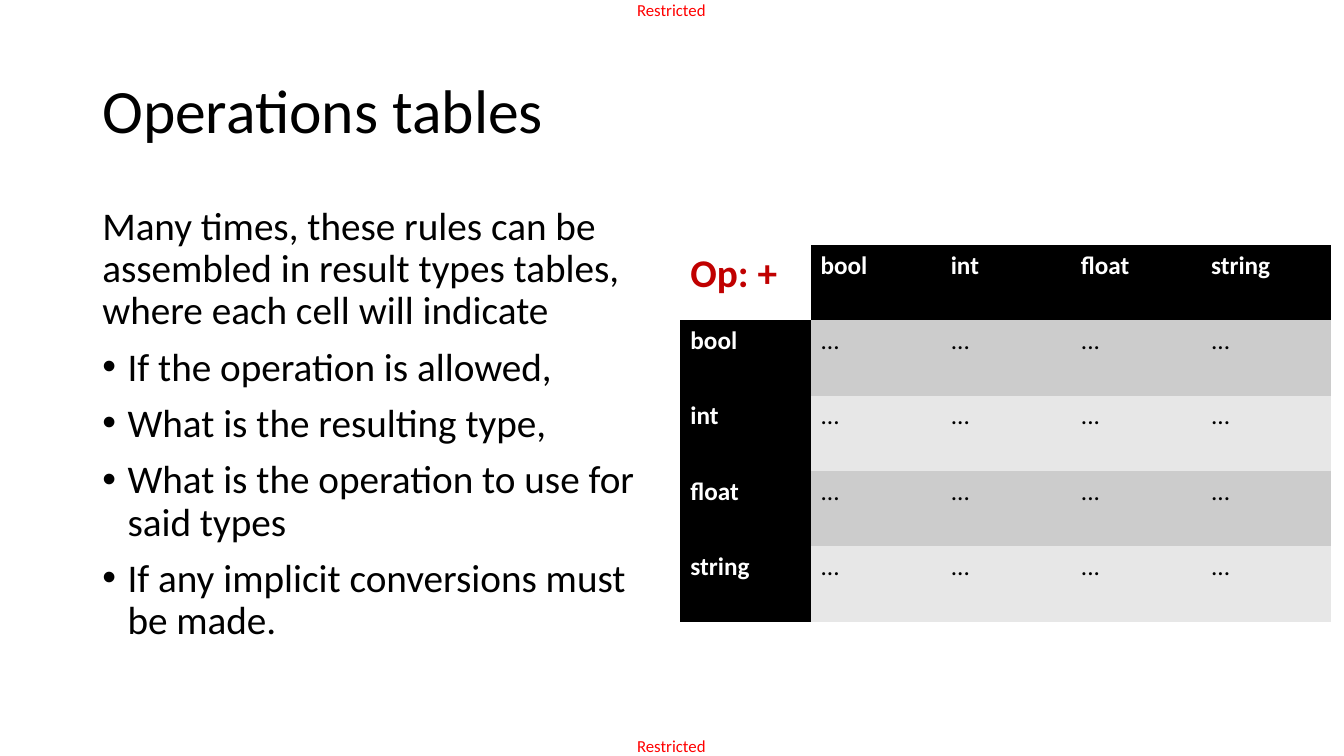
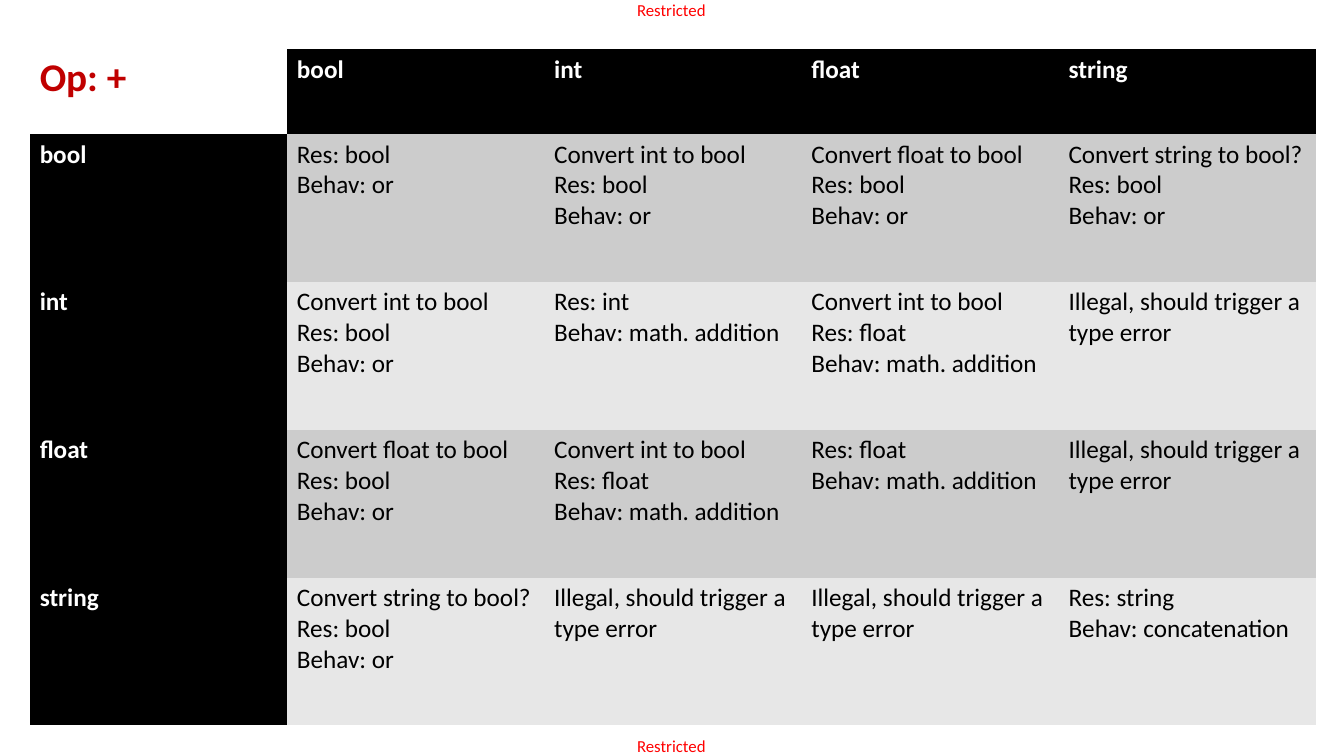
from lxml.etree import SubElement
from pptx import Presentation
from pptx.dml.color import RGBColor
from pptx.enum.text import MSO_ANCHOR
from pptx.oxml.ns import qn
from pptx.util import Pt

WIDTH, HEIGHT = 960, 540
MARGIN = 66
FONT = "Calibri"
COLORS = {
    "text": "000000",
    "head": "000000",
    "paper": "FFFFFF",
    "label": "FF0000",
    "corner": "C00000",
    "odd": "CCCCCC",
    "even": "E7E7E7",
}
NO_GRID = "{2D5ABB26-0587-4C30-8999-92F81FD0307C}"
TYPES = ["bool", "int", "float", "string"]


def color(name):
    return RGBColor.from_string(COLORS[name])


def write(frame, texts, size, tint="text", bold=False):
    for i, text in enumerate(texts):
        para = frame.add_paragraph() if i else frame.paragraphs[0]
        run = para.add_run()
        run.text = text
        run.font.name = FONT
        run.font.size = Pt(size)
        run.font.bold = bold
        run.font.color.rgb = color(tint)


def box(slide, left, top, width, height):
    shape = slide.shapes.add_textbox(Pt(left), Pt(top), Pt(width), Pt(height))
    frame = shape.text_frame
    frame.word_wrap = True
    return frame


def label(slide, top, height):
    frame = box(slide, 455.1, top, 53, height)
    frame.margin_left = frame.margin_right = 0
    frame.margin_top = frame.margin_bottom = 0
    write(frame, ["Restricted"], 12, "label")


def page(deck):
    slide = deck.slides.add_slide(deck.slide_layouts[6])
    height = 14.4
    for top in (0, HEIGHT - height):
        label(slide, top, height)
    return slide


def title(slide, text):
    frame = box(slide, MARGIN, 28.8, WIDTH - 2 * MARGIN, 104.4)
    frame.vertical_anchor = MSO_ANCHOR.MIDDLE
    write(frame, [text], 44)
    frame.paragraphs[0].line_spacing = 0.9


def bullet(para, indent=18):
    props = para._p.get_or_add_pPr()
    props.set("marL", str(Pt(indent)))
    props.set("indent", str(-Pt(indent)))
    SubElement(props, qn("a:buFont"), typeface="Arial")
    SubElement(props, qn("a:buChar"), char="•")


def body(slide, intro, items):
    frame = box(slide, MARGIN, 143.75, 408, 342.6)
    write(frame, [intro, *items], 28)
    for i, para in enumerate(frame.paragraphs):
        para.line_spacing = 0.9
        para.space_before = Pt(10)
        if i:
            bullet(para)


def fill(cell, back, texts, size=18, tint="text", bold=False):
    cell.fill.solid()
    cell.fill.fore_color.rgb = color(back)
    write(cell.text_frame, texts, size, tint, bold)


def matrix(slide, left, top, width, head, row, rule):
    count = len(TYPES) + 1
    height = head + row * len(TYPES)
    frame = slide.shapes.add_table(
        count, count, Pt(left), Pt(top), Pt(width), Pt(height)
    )
    table = frame.table
    table._tbl.tblPr.find(qn("a:tableStyleId")).text = NO_GRID
    for i in range(count):
        table.columns[i].width = Pt(width / count)
        table.rows[i].height = Pt(row if i else head)

    fill(table.cell(0, 0), "paper", ["Op: +"], 28, "corner", True)
    for i, first in enumerate(TYPES, 1):
        for cell in (table.cell(0, i), table.cell(i, 0)):
            fill(cell, "head", [first], tint="paper", bold=True)
        band = "odd" if i % 2 else "even"
        for j, second in enumerate(TYPES, 1):
            fill(table.cell(i, j), band, rule(first, second))


def dots(first, second):
    return ["..."]


def result(kind, action):
    return [f"Res: {kind}", f"Behav: {action}"]


def plus(first, second):
    pair = {first, second}
    if "bool" in pair:
        other = second if first == "bool" else first
        mark = "?" if other == "string" else ""
        change = [] if other == "bool" else [f"Convert {other} to bool{mark}"]
        return change + result("bool", "or")
    if pair == {"string"}:
        return result("string", "concatenation")
    if "string" in pair:
        return ["Illegal, should trigger a type error"]
    if first == second:
        return result(first, "math. addition")
    return ["Convert int to bool"] + result("float", "math. addition")


def intro(deck):
    slide = page(deck)
    title(slide, "Operations tables")
    body(
        slide,
        "Many times, these rules can be assembled in result types tables, "
        "where each cell will indicate",
        [
            "If the operation is allowed,",
            "What is the resulting type,",
            "What is the operation to use for said types",
            "If any implicit conversions must be made.",
        ],
    )
    matrix(slide, 486, 175, 465, 53.85, 53.85, dots)


def detail(deck):
    matrix(page(deck), 21.2, 35, 918.7, 60.8, 105.6, plus)


def main():
    deck = Presentation()
    deck.slide_width, deck.slide_height = Pt(WIDTH), Pt(HEIGHT)
    intro(deck)
    detail(deck)
    deck.save("out.pptx")


if __name__ == "__main__":
    main()
